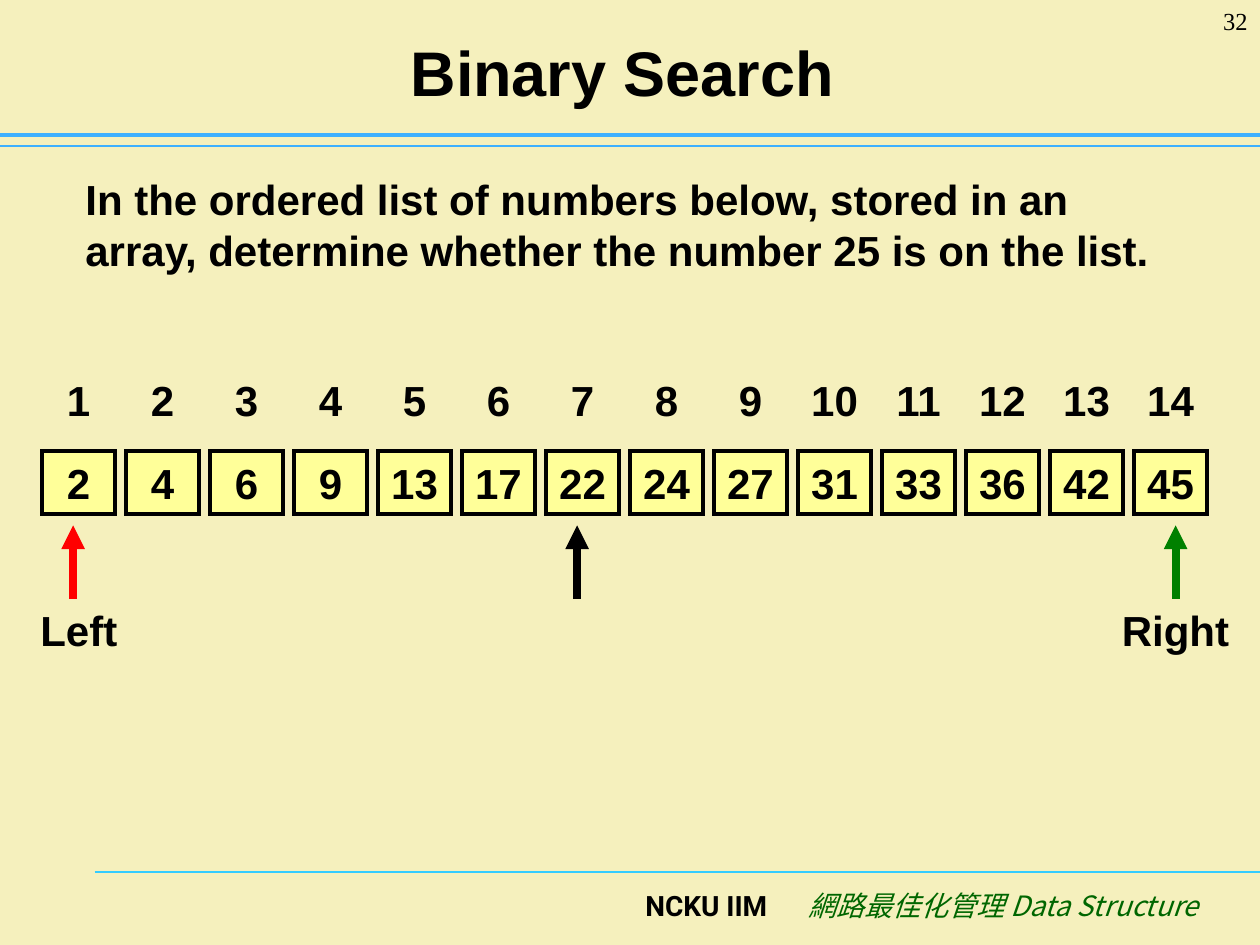
from dataclasses import dataclass

from lxml.etree import SubElement as Sub
from pptx import Presentation
from pptx.dml.color import RGBColor as RGB
from pptx.enum.shapes import MSO_CONNECTOR as Link, MSO_SHAPE as Shape
from pptx.enum.text import MSO_ANCHOR as Anchor, PP_ALIGN as Align
from pptx.oxml.ns import qn
from pptx.util import Inches, Pt

CREAM = RGB(0xF5, 0xF0, 0xBD)
YELLOW = RGB(0xFF, 0xFF, 0x99)
BLACK = RGB(0, 0, 0)
RED = RGB(0xFF, 0, 0)
GREEN = RGB(0, 0x80, 0)
FOREST = RGB(0, 0x66, 0)
BLUE = RGB(0x3D, 0xB0, 0xFF)
CYAN = RGB(0x33, 0xCC, 0xFF)

VALUES = [2, 4, 6, 9, 13, 17, 22, 24, 27, 31, 33, 36, 42, 45]
START, PITCH = 1 / 3, 2 / 3
WIDE, HIGH = 0.58, 0.5


@dataclass
class Style:
    size: int = 24
    face: str = "Arial"
    color: RGB = BLACK
    bold: bool = True
    italic: bool = False
    align: Align = Align.CENTER


@dataclass
class Rule:
    left: float
    top: float
    color: RGB
    width: float


@dataclass
class Marker:
    x: float
    color: RGB
    name: str = ""
    left: float = 0
    wide: float = 0


@dataclass
class Note:
    text: str
    box: tuple
    style: Style
    right: float = 0.1


def write(shape, text: str, style: Style, anchor=Anchor.MIDDLE, wrap=False):
    frame = shape.text_frame
    frame.word_wrap = wrap
    frame.vertical_anchor = anchor
    frame.text = text
    para = frame.paragraphs[0]
    para.alignment = style.align
    font = para.font
    font.size, font.name = Pt(style.size), style.face
    font.bold, font.italic = style.bold, style.italic
    font.color.rgb = style.color
    Sub(font._element, qn("a:ea"), typeface=style.face)
    return frame


def line(slide, start: tuple, end: tuple, color: RGB, width: float):
    link = slide.shapes.add_connector(
        Link.STRAIGHT, *map(Inches, start), *map(Inches, end))
    link.line.color.rgb = color
    link.line.width = Pt(width)
    Sub(link._element.spPr, qn("a:effectLst"))
    return link


def cell(slide, x: float, y: float, text: str, fill: RGB, edge: bool):
    box = slide.shapes.add_shape(
        Shape.RECTANGLE, *map(Inches, (x, y, WIDE, HIGH)))
    box.shadow.inherit = False
    box.fill.solid()
    box.fill.fore_color.rgb = fill
    if edge:
        box.line.color.rgb = BLACK
        box.line.width = Pt(2.25)
        Sub(box.line._get_or_add_ln(), qn("a:miter"), lim="800000")
    else:
        box.line.fill.background()
    write(box, text, Style())


def mark(slide, item: Marker):
    arrow = line(slide, (item.x, 4.75), (item.x, 4.17), item.color, 4.5)
    Sub(arrow.line._get_or_add_ln(), qn("a:tailEnd"), type="triangle")
    if item.name:
        box = slide.shapes.add_textbox(
            *map(Inches, (item.left, 4.83, item.wide, 0.33)))
        frame = write(box, item.name, Style())
        # Without insets the word fits on one line
        frame.margin_left = frame.margin_right = 0
        frame.margin_top = frame.margin_bottom = 0


def note(slide, item: Note):
    box = slide.shapes.add_textbox(*map(Inches, item.box))
    frame = write(box, item.text, item.style, Anchor.TOP, True)
    frame.margin_right = Inches(item.right)


RULES = [
    Rule(0.75, 6.92, CYAN, 0.75),
    Rule(0, 1.16, BLUE, 0.75),
    Rule(0, 1.07, BLUE, 2.5),
]
MARKERS = [
    Marker(4.58, BLACK),
    Marker(0.58, RED, "Left", 0.25, 0.75),
    Marker(9.33, GREEN, "Right", 8.83, 1),
]
NOTES = [
    Note("In the ordered list of numbers below, stored in an array, "
         "determine whether the number 25 is on the list.",
         (0.58, 1.33, 8.83, 0.9), Style(align=Align.LEFT)),
    Note("NCKU IIM", (1.83, 7, 4.26, 0.5),
         Style(16, "Roboto", align=Align.RIGHT), right=0),
    Note("網路最佳化管理 Data Structure", (6.09, 7, 3.52, 0.5),
         Style(16, "Noto Sans CJK SC", FOREST, False, True, Align.RIGHT)),
    Note("32", (9.17, 0, 0.83, 0.5),
         Style(14, "Times New Roman", bold=False, align=Align.RIGHT)),
]


def main():
    deck = Presentation()
    deck.slide_width, deck.slide_height = Inches(10), Inches(7.5)
    slide = deck.slides.add_slide(deck.slide_layouts[5])
    slide.background.fill.solid()
    slide.background.fill.fore_color.rgb = CREAM

    # Title and rules
    title = slide.shapes.title
    title.left, title.top = Inches(0.51), Inches(0.13)
    title.width, title.height = Inches(9), Inches(0.87)
    frame = write(title, "Binary Search", Style(36), wrap=True)
    frame.margin_right = Inches(0.24)
    for rule in RULES:
        line(slide, (rule.left, rule.top), (10, rule.top),
             rule.color, rule.width)

    # Array cells with their indexes above
    for i, value in enumerate(VALUES):
        x = START + i * PITCH
        cell(slide, x, 3.58, str(value), YELLOW, True)
        cell(slide, x, 2.92, str(i + 1), CREAM, False)

    # Pointers, question, footer and page number
    for item in MARKERS:
        mark(slide, item)
    for item in NOTES:
        note(slide, item)

    deck.save("out.pptx")


if __name__ == "__main__":
    main()
